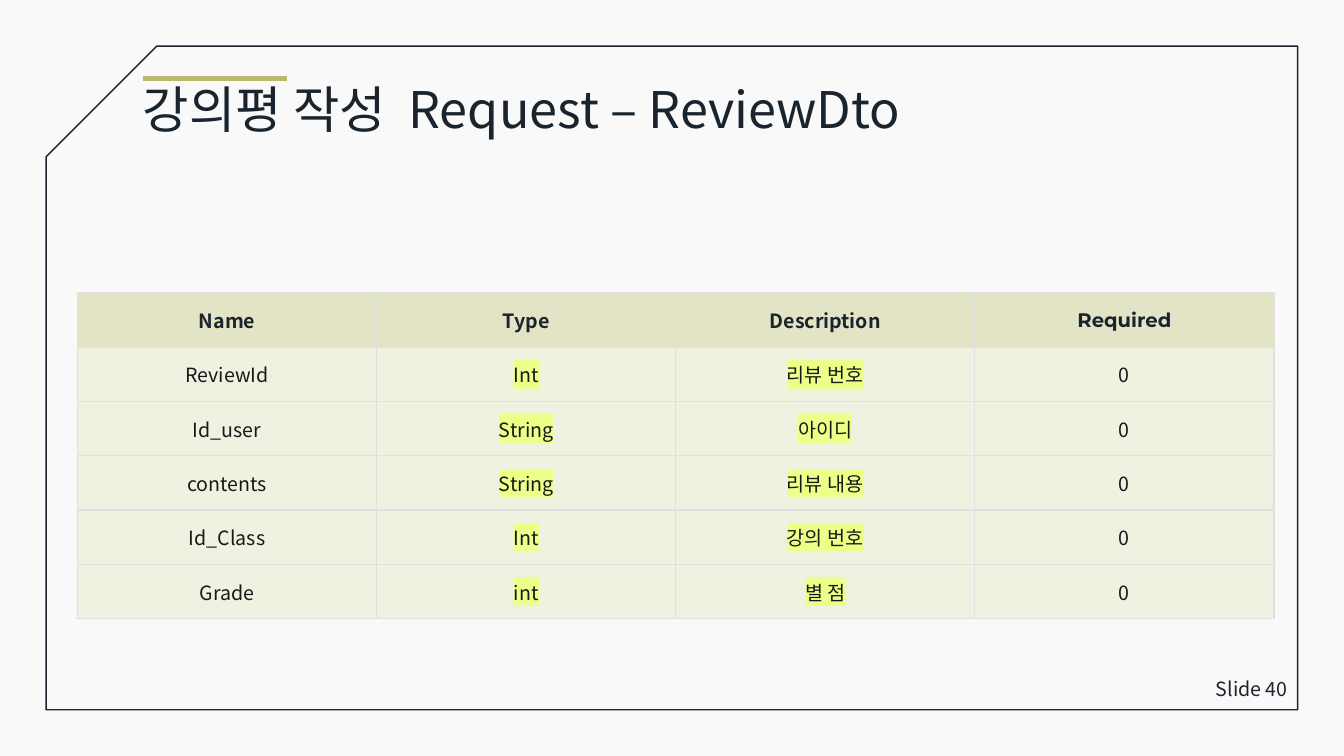
from lxml.etree import SubElement
from pptx import Presentation
from pptx.dml.color import RGBColor
from pptx.enum.shapes import MSO_CONNECTOR, MSO_SHAPE
from pptx.enum.text import MSO_ANCHOR, PP_ALIGN
from pptx.oxml.ns import qn
from pptx.util import Pt

FONT = "Noto Sans CJK KR"
INK = "1A242E"
HEADINGS = ("Name", "Type", "Description", "Required")
FIELDS = (
    ("ReviewId", "Int", "리뷰 번호", "0"),
    ("Id_user", "String", "아이디", "0"),
    ("contents", "String", "리뷰 내용", "0"),
    ("Id_Class", "Int", "강의 번호", "0"),
    ("Grade", "int", "별 점", "0"),
)
HIGHLIGHTED_COLUMNS = (1, 2)


def color(value):
    """Turn a hex string into a colour."""
    return RGBColor.from_string(value)


def style(para, size, ink, align, name=FONT, bold=False):
    """Set the font and alignment of a paragraph."""
    para.alignment = align
    font = para.font
    font.size, font.bold, font.name = Pt(size), bold, name
    font.color.rgb = color(ink)
    SubElement(font._element, qn("a:ea")).set("typeface", name)


def add_text_box(page, left, top, width, height, anchor):
    """Add a wrapping text box without vertical insets and return its frame."""
    frame = page.shapes.add_textbox(Pt(left), Pt(top), Pt(width), Pt(height)).text_frame
    frame.word_wrap = True
    frame.vertical_anchor = anchor
    frame.margin_top = frame.margin_bottom = 0
    return frame


def add_frame(page, left, top, width, height):
    """Draw the outline with its top left corner cut off."""
    outline = page.shapes.add_shape(
        MSO_SHAPE.SNIP_1_RECTANGLE, Pt(left), Pt(top), Pt(width), Pt(height))
    outline.shadow.inherit = False
    outline.fill.background()
    outline.line.color.rgb = color(INK)
    outline.line.width = Pt(1)
    outline._element.spPr.find(qn("a:xfrm")).set("flipH", "1")


def add_title(page, left, top, width, height):
    """Place the accent rule and the heading below it."""
    rule = page.shapes.add_connector(
        MSO_CONNECTOR.STRAIGHT, Pt(left + 7), Pt(top - 4.3), Pt(left + 110), Pt(top - 4.3))
    rule.line.color.rgb = color("B8B96F")
    rule.line.width = Pt(4)
    SubElement(rule._element.spPr, qn("a:effectLst"))

    para = add_text_box(page, left, top, width, height, MSO_ANCHOR.TOP).paragraphs[0]
    para.line_spacing = 0.9
    style(para, 36, INK, PP_ALIGN.LEFT)
    for text, tracking in (("강의평 작성", 0), (" ", 800), ("Request – ReviewDto", 0)):
        span = para.add_run()
        span.text = text
        span.font._element.set("spc", str(tracking))


def add_slide_number(page, left, top, width, height):
    """Place the slide number at the right of its box."""
    para = add_text_box(page, left, top, width, height, MSO_ANCHOR.MIDDLE).paragraphs[0]
    style(para, 14, INK, PP_ALIGN.RIGHT)
    para.add_run().text = "Slide 40"


def add_borders(cell):
    """Give a cell thin grey borders on all sides."""
    properties = cell._tc.get_or_add_tcPr()
    for side in ("lnL", "lnR", "lnT", "lnB"):
        line = SubElement(properties, qn(f"a:{side}"), w=str(Pt(1)))
        fill = SubElement(line, qn("a:solidFill"))
        SubElement(fill, qn("a:srgbClr"), val="E0E0E0")


def highlight(span, value):
    """Put a marker colour behind a run."""
    marker = SubElement(span.font._element, qn("a:highlight"))
    SubElement(marker, qn("a:srgbClr"), val=value)


def fill_cell(cell, text, is_heading, column):
    """Write and style one cell of the field table."""
    add_borders(cell)
    cell.fill.solid()
    cell.fill.fore_color.rgb = color("E3E3C5" if is_heading else "F1F1E2")
    cell.vertical_anchor = MSO_ANCHOR.MIDDLE
    para = cell.text_frame.paragraphs[0]
    name = "Montserrat" if text == "Required" else FONT
    style(para, 14, INK if is_heading else "191919", PP_ALIGN.CENTER, name, is_heading)
    span = para.add_run()
    span.text = text
    if not is_heading and column in HIGHLIGHTED_COLUMNS:
        highlight(span, "ECFF88")


def add_field_table(page, left, top, width, height):
    """Lay out the request fields in equal rows and columns."""
    rows = (HEADINGS,) + FIELDS
    table = page.shapes.add_table(
        len(rows), len(HEADINGS), Pt(left), Pt(top), Pt(width), Pt(height)).table
    table.first_row = table.horz_banding = False
    for row_index, texts in enumerate(rows):
        table.rows[row_index].height = Pt(height / len(rows))
        for column, text in enumerate(texts):
            fill_cell(table.cell(row_index, column), text, row_index == 0, column)


def main():
    """Build the slide and save it."""
    deck = Presentation()
    deck.slide_width, deck.slide_height = Pt(960), Pt(540)
    page = deck.slides.add_slide(deck.slide_layouts[6])
    page.background.fill.solid()
    page.background.fill.fore_color.rgb = color("F9F9F9")
    add_frame(page, 33, 33, 894, 474)
    add_title(page, 95, 60.5, 832, 82)
    add_slide_number(page, 833, 477.5, 94, 29.5)
    add_field_table(page, 55.4, 209.2, 854.6, 232.8)
    deck.save("out.pptx")


if __name__ == "__main__":
    main()
